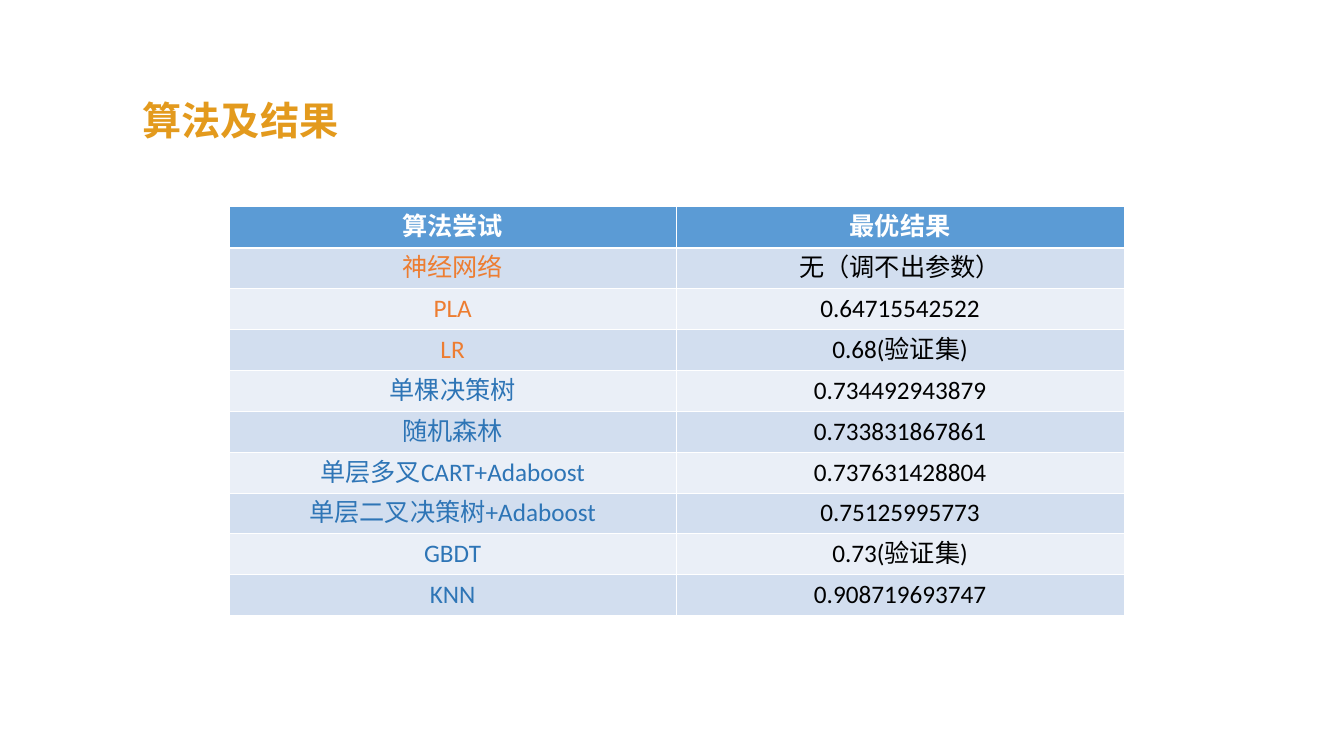
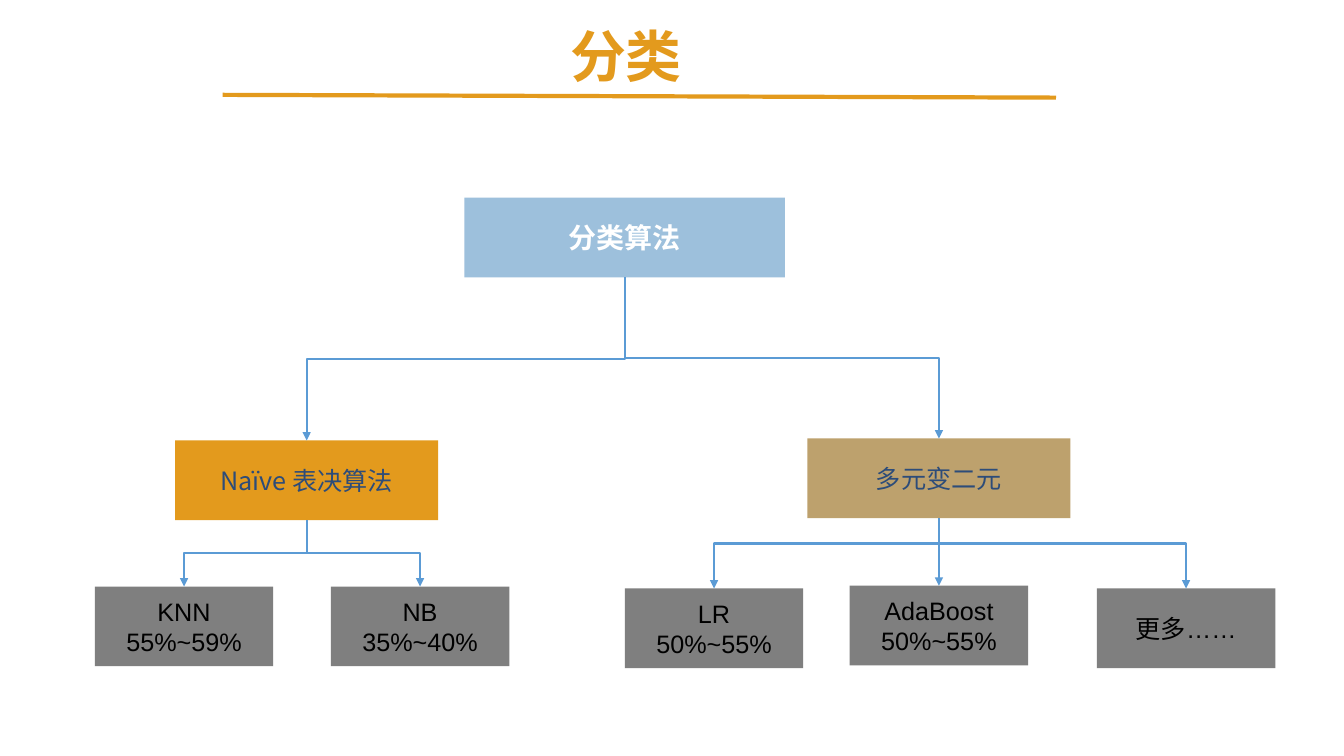
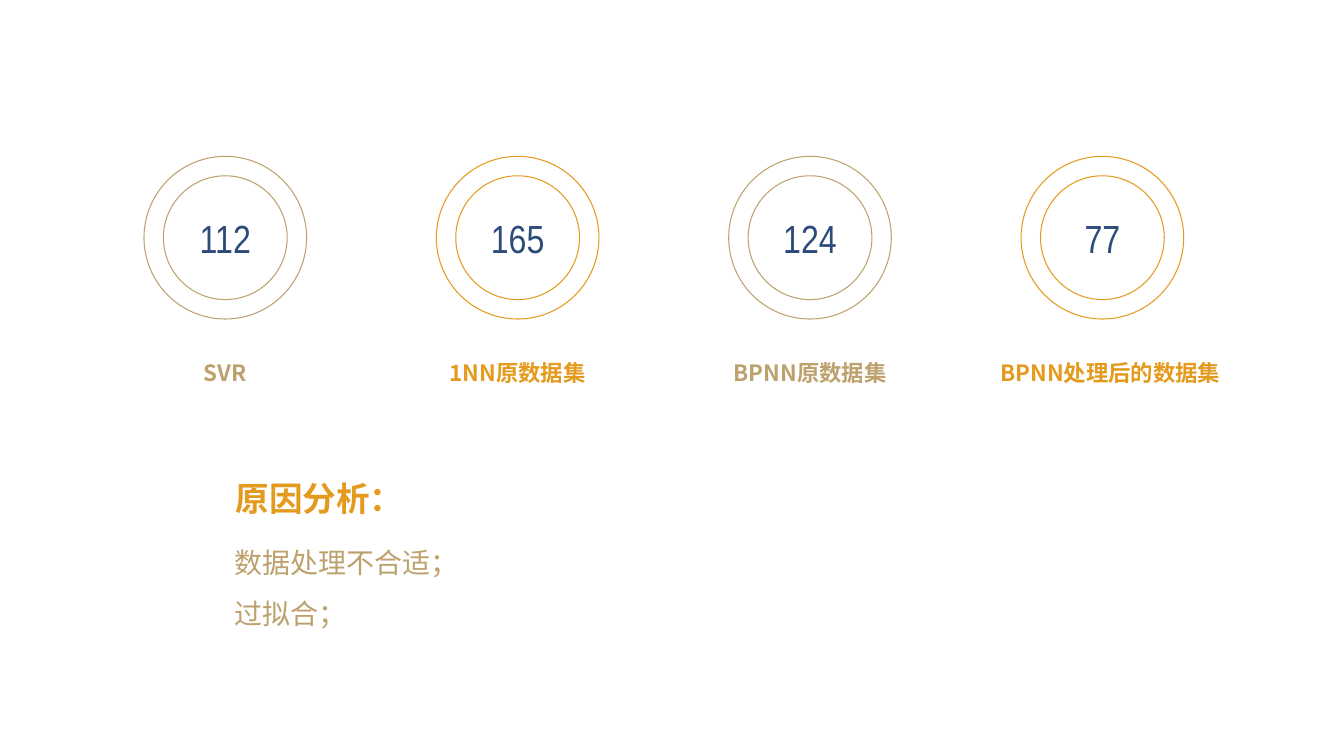
import pptx
import pptx.util
import pptx.dml.color
import pptx.enum.shapes
import pptx.enum.text
import pptx.oxml.ns
import pptx.oxml.xmlchemy

Cm = pptx.util.Cm
Pt = pptx.util.Pt
SHAPE = pptx.enum.shapes.MSO_SHAPE
CONNECTOR = pptx.enum.shapes.MSO_CONNECTOR
ANCHOR = pptx.enum.text.MSO_ANCHOR
CENTER = pptx.enum.text.PP_ALIGN.CENTER
LEFT = pptx.enum.text.PP_ALIGN.LEFT
qn = pptx.oxml.ns.qn

ORANGE, TAN, NAVY = "E39A1D", "BDA16D", "2D4C79"
WHITE, BLACK, GRAY = "FFFFFF", "000000", "7F7F7F"
BLUE, PALE_BLUE, DARK_BLUE, RUST = "5B9BD5", "9DC0DC", "2E75B6", "ED7D31"
BANDS = ["D2DEEF", "EAEFF7"]
CJK = "Noto Sans CJK SC"

# Slide 1
RESULTS_TITLE = "算法及结果"
RESULTS_HEADER = ("算法尝试", "最优结果")
RESULTS = [
    ("神经网络", "无（调不出参数）", RUST),
    ("PLA", "0.64715542522", RUST),
    ("LR", "0.68(验证集)", RUST),
    ("单棵决策树", "0.734492943879", DARK_BLUE),
    ("随机森林", "0.733831867861", DARK_BLUE),
    ("单层多叉CART+Adaboost", "0.737631428804", DARK_BLUE),
    ("单层二叉决策树+Adaboost", "0.75125995773", DARK_BLUE),
    ("GBDT", "0.73(验证集)", DARK_BLUE),
    ("KNN", "0.908719693747", DARK_BLUE),
]

# Slide 2: label, centre x, top, fill, bar position between levels, children
TREE_TITLE = "分类"
TREE = ("分类算法", 15.75, 4.98, PALE_BLUE, 0.5, [
    ("Naïve 表决算法", 7.73, 11.1, ORANGE, 0.5, [
        ("KNN\n55%~59%", 4.64, 14.78, GRAY, 0, []),
        ("NB\n35%~40%", 10.59, 14.78, GRAY, 0, []),
    ]),
    ("多元变二元", 23.67, 11.05, TAN, 0.36, [
        ("LR\n50%~55%", 18, 14.83, GRAY, 0, []),
        ("AdaBoost\n50%~55%", 23.67, 14.76, GRAY, 0, []),
        ("更多……", 29.9, 14.83, GRAY, 0, []),
    ]),
])
# Per level: node width, text size, font, text colour, bold
LEVELS = [
    (8.08, 20, CJK, WHITE, True),
    (6.63, 18, CJK, NAVY, False),
    (4.5, 18, "Arial", BLACK, False),
]
NODE_HEIGHT = 2.01

# Slide 3: score, label, colour, shift of the label from the ring centre
SCORES = [
    ("112", "SVR", TAN, 0),
    ("165", "1NN原数据集", ORANGE, 0),
    ("124", "BPNN原数据集", TAN, 0),
    ("77", "BPNN处理后的数据集", ORANGE, 0.2),
]
REASONS_TITLE = "原因分析："
REASONS = "数据处理不合适；\n过拟合；"


def rgb(value):
    return pptx.dml.color.RGBColor.from_string(value)


def element(tag, **attributes):
    node = pptx.oxml.xmlchemy.OxmlElement(tag)
    for key, value in attributes.items():
        node.set(key, value)
    return node


def write(frame, text, size, color, font=CJK, bold=False, align=CENTER, spacing=None):
    frame.text = text
    for paragraph in frame.paragraphs:
        paragraph.alignment = align
        paragraph.line_spacing = spacing
        for run in paragraph.runs:
            run.font.size = Pt(size)
            run.font.bold = bold
            run.font.name = font
            run.font.color.rgb = rgb(color)
            latin = run._r.get_or_add_rPr().find(qn("a:latin"))
            latin.addnext(element("a:ea", typeface=font))


def add_text(slide, text, left, top, width, height, size, color, **style):
    box = slide.shapes.add_textbox(Cm(left), Cm(top), Cm(width), Cm(height))
    box.text_frame.word_wrap = True
    write(box.text_frame, text, size, color, **style)
    return box.text_frame


def add_title(slide, text, left, top, width, height, size, align=LEFT):
    add_text(slide, text, left, top, width, height, size, ORANGE, bold=True, align=align)


def center_without_margins(frame):
    frame.margin_left = frame.margin_right = frame.margin_top = frame.margin_bottom = 0
    frame.vertical_anchor = ANCHOR.MIDDLE


def add_shape(slide, kind, left, top, width, height, fill, line=None):
    shape = slide.shapes.add_shape(kind, Cm(left), Cm(top), Cm(width), Cm(height))
    shape.shadow.inherit = False
    shape.fill.solid()
    shape.fill.fore_color.rgb = rgb(fill)
    if line:
        shape.line.color.rgb = rgb(line)
        shape.line.width = Pt(0.75)
    else:
        shape.line.fill.background()
    center_without_margins(shape.text_frame)
    return shape


def add_line(slide, kind, x1, y1, x2, y2, color, width, arrow=False):
    line = slide.shapes.add_connector(kind, Cm(x1), Cm(y1), Cm(x2), Cm(y2))
    line.line.color.rgb = rgb(color)
    line.line.width = Pt(width)
    if arrow:
        line.get_or_add_ln().append(element("a:tailEnd", type="triangle"))
    line._element.spPr.append(element("a:effectLst"))
    return line


def add_branch(slide, x1, y1, x2, y2, bar):
    """Arrow that runs down, across at the fraction bar of the drop, then down."""
    if x1 == x2:
        add_line(slide, CONNECTOR.STRAIGHT, x1, y1, x2, y2, BLUE, 1.5, True)
        return
    # A quarter turn makes the elbow leave its start vertically.
    drop, reach = y2 - y1, abs(x2 - x1)
    left, top = (x1 + x2 - drop) / 2, (y1 + y2 - reach) / 2
    elbow = add_line(slide, CONNECTOR.ELBOW, left, top, left + drop, top + reach,
                     BLUE, 1.5, True)
    frame = elbow._element.spPr.find(qn("a:xfrm"))
    if x2 < x1:
        frame.set("rot", str(90 * 60000))
    else:
        frame.set("rot", str(270 * 60000))
        frame.set("flipH", "1")
    adjustments = elbow._element.spPr.find(qn("a:prstGeom")).find(qn("a:avLst"))
    adjustments.append(element("a:gd", name="adj1", fmla=f"val {round(bar * 100000)}"))


def set_borders(cell, widths):
    """Give the cell white borders; widths are points by side, L R T B."""
    properties = cell._tc.get_or_add_tcPr()
    for position, (side, width) in enumerate(widths.items()):
        border = element(f"a:ln{side}", w=str(int(Pt(width))))
        fill = element("a:solidFill")
        fill.append(element("a:srgbClr", val=WHITE))
        border.append(fill)
        properties.insert(position, border)


def build_results(slide):
    rows = [(*RESULTS_HEADER, WHITE)] + RESULTS
    table = slide.shapes.add_table(len(rows), 2, Cm(5.77), Cm(5.21), Cm(22.56),
                                   Cm(1.02 * len(rows))).table
    for index, (algorithm, result, color) in enumerate(rows):
        header = index == 0
        for column, text in enumerate((algorithm, result)):
            cell = table.cell(index, column)
            cell.fill.solid()
            cell.fill.fore_color.rgb = rgb(BLUE if header else BANDS[(index - 1) % 2])
            text_color = color if header or column == 0 else BLACK
            write(cell.text_frame, text, 18, text_color, font="Calibri", bold=header)
            set_borders(cell, {"L": 0.45, "R": 0.45, "T": 1.47 if index == 1 else 0.45,
                               "B": 1.47 if header else 0.45})
    add_title(slide, RESULTS_TITLE, 3.35, 2.29, 5.59, 1.45, 28)


def add_node(slide, node, level=0):
    """Draw a node, then its branches and children."""
    label, center, top, fill, bar, children = node
    width, size, font, color, bold = LEVELS[level]
    box = add_shape(slide, SHAPE.RECTANGLE, center - width / 2, top, width, NODE_HEIGHT, fill)
    write(box.text_frame, label, size, color, font=font, bold=bold)
    for child in children:
        add_node(slide, child, level + 1)
        add_branch(slide, center, top + NODE_HEIGHT, child[1], child[2], bar)


def build_tree(slide):
    add_title(slide, TREE_TITLE, 13.73, 0.41, 4.1, 1.96, 40, CENTER)
    add_line(slide, CONNECTOR.STRAIGHT, 5.61, 2.39, 26.62, 2.46, ORANGE, 3)
    add_node(slide, TREE)


def build_scores(slide):
    first_center, pitch, middle = 5.68, 7.37, 5.99
    outer, inner, label_width = 4.1, 3.12, 6.99
    for index, (score, label, color, shift) in enumerate(SCORES):
        center = first_center + index * pitch
        for size in (outer, inner):
            ring = add_shape(slide, SHAPE.OVAL, center - size / 2, middle - size / 2,
                             size, size, WHITE, color)
        write(ring.text_frame, score, 28, NAVY, font="Arial Narrow")
        caption = add_text(slide, label, center + shift - label_width / 2, 8.81,
                           label_width, 1.14, 16, color, bold=True)
        center_without_margins(caption)
    add_title(slide, REASONS_TITLE, 5.69, 11.91, 5.5, 1.27, 24)
    add_text(slide, REASONS, 5.66, 13.21, 22.35, 4.06, 20, TAN, align=LEFT, spacing=1.5)


def main():
    deck = pptx.Presentation()
    deck.slide_width, deck.slide_height = Cm(33.88), Cm(19.05)
    for build in (build_results, build_tree, build_scores):
        build(deck.slides.add_slide(deck.slide_layouts[6]))
    deck.save("out.pptx")


if __name__ == "__main__":
    main()
